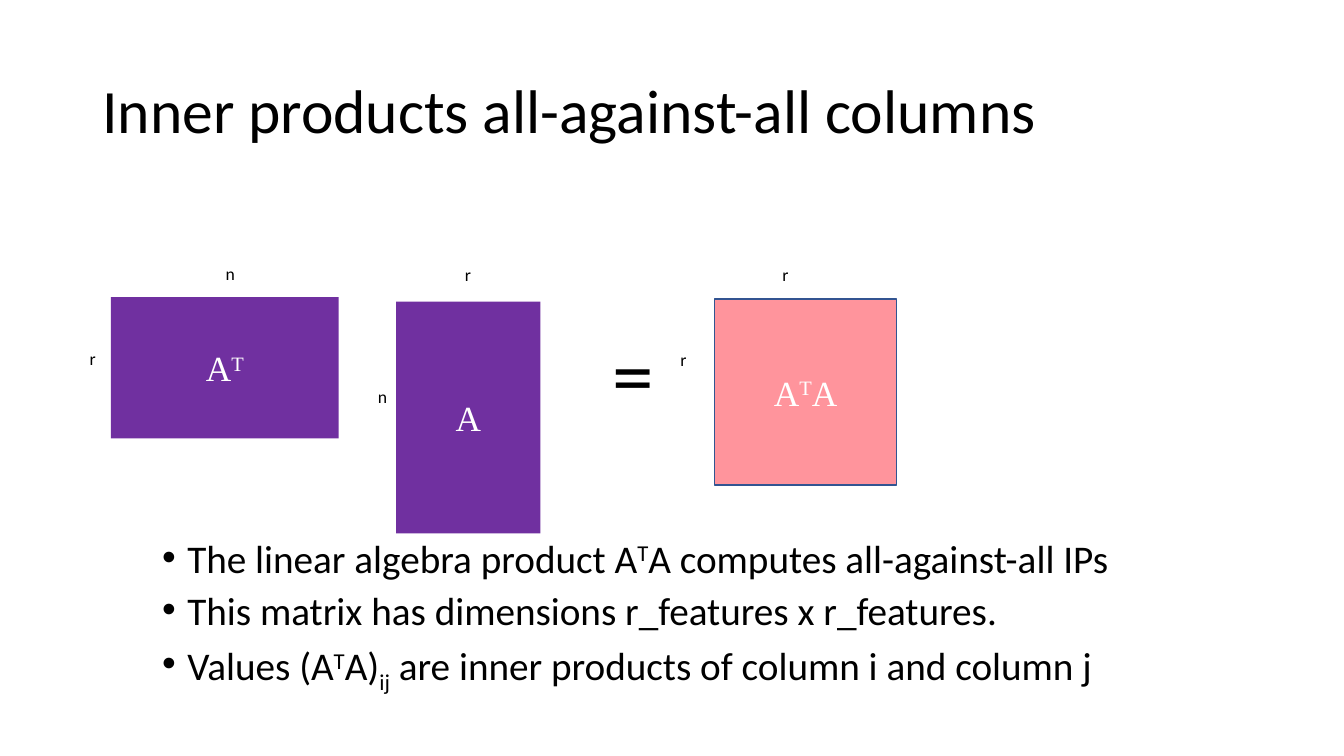
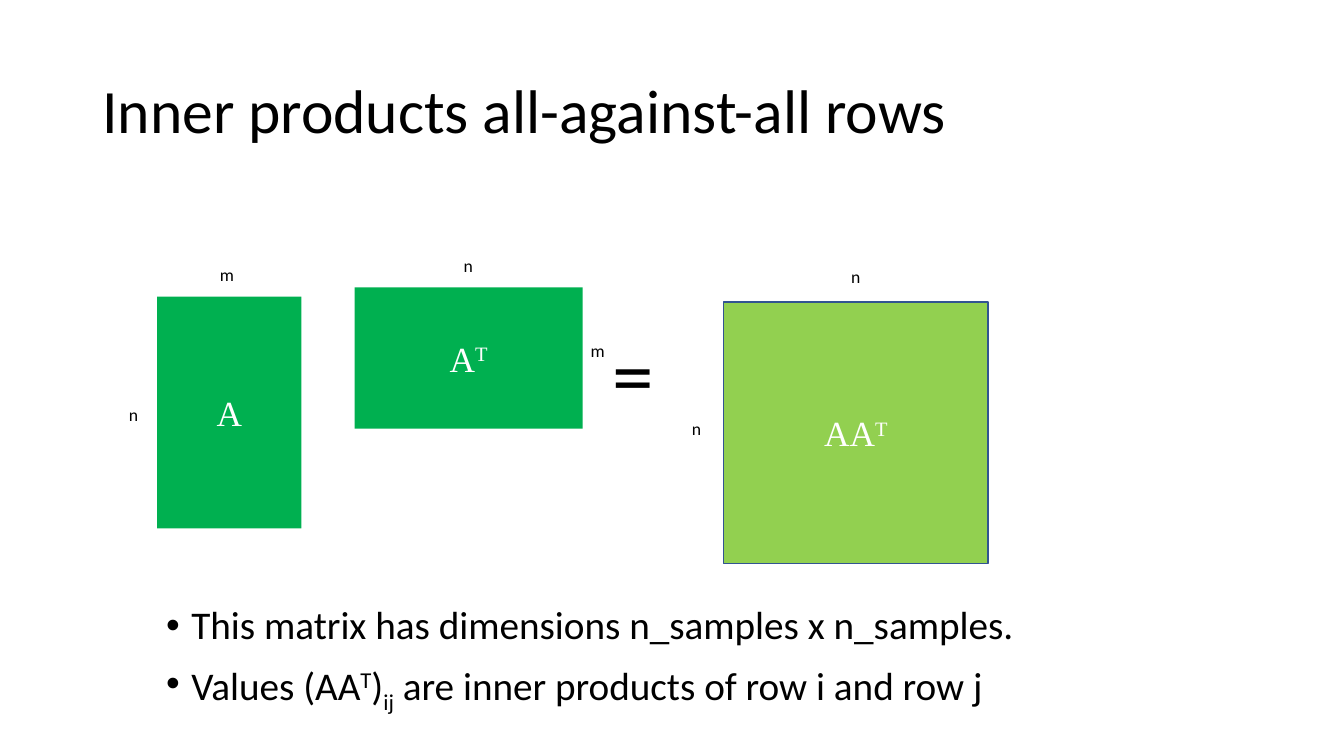
from lxml.etree import SubElement
from pptx import Presentation
from pptx.dml.color import RGBColor
from pptx.enum.shapes import MSO_SHAPE as Preset
from pptx.enum.text import MSO_ANCHOR as Anchor, PP_ALIGN as Align
from pptx.oxml.ns import qn
from pptx.util import Pt

BLACK, WHITE, OUTLINE = "000000", "FFFFFF", "325491"
PURPLE, PINK = "7030A0", "FF949C"
GREEN, LIME = "00B050", "92D050"

BODY_FONT, MATH_FONT = "Calibri", "Times New Roman"
TALL, WIDE = (103, 165.6), (162.8, 101)

# A run is a plain string, or a pair of text and baseline shift.
TRANSPOSE = ("T", 30000)
INDEX = ("ij", -25000)


def color(hex_string):
    return RGBColor.from_string(hex_string)


class Deck:
    """Holds the shared style and the slide being drawn."""

    def __init__(self):
        self.presentation = Presentation()
        self.presentation.slide_width = Pt(960)
        self.presentation.slide_height = Pt(540)
        self.slide = None

    def new_slide(self, title):
        blank = self.presentation.slide_layouts[6]
        self.slide = self.presentation.slides.add_slide(blank)
        frame = self.text_frame(66, 28.8, 828, 104.4, Anchor.MIDDLE)
        paragraph = frame.paragraphs[0]
        paragraph.line_spacing = 0.9
        self.add_text(paragraph, [title], 44)

    def text_frame(self, left, top, width, height, anchor=Anchor.TOP):
        box = self.slide.shapes.add_textbox(Pt(left), Pt(top), Pt(width), Pt(height))
        frame = box.text_frame
        frame.word_wrap = True
        frame.vertical_anchor = anchor
        return frame

    def add_text(self, paragraph, runs, size, font=BODY_FONT, ink=BLACK):
        paragraph.font.name = font
        paragraph.font.size = Pt(size)
        paragraph.font.color.rgb = color(ink)
        for item in runs:
            text, baseline = (item, 0) if isinstance(item, str) else item
            run = paragraph.add_run()
            run.text = text
            if baseline:
                run._r.get_or_add_rPr().set("baseline", str(baseline))

    def matrix(self, left, top, size, runs, fill, outline=None):
        width, height = size
        shape = self.slide.shapes.add_shape(
            Preset.RECTANGLE, Pt(left), Pt(top), Pt(width), Pt(height))
        shape.shadow.inherit = False
        shape.fill.solid()
        shape.fill.fore_color.rgb = color(fill)
        if outline:
            shape.line.color.rgb = color(outline)
            shape.line.width = Pt(1)
        else:
            shape.line.fill.background()
        shape.text_frame.vertical_anchor = Anchor.MIDDLE
        paragraph = shape.text_frame.paragraphs[0]
        paragraph.alignment = Align.CENTER
        self.add_text(paragraph, runs, 25.2, MATH_FONT, WHITE)

    def dimension(self, text, center_x, center_y):
        """Label a matrix side, centred on the given point."""
        width, height = 32, 22
        frame = self.text_frame(center_x - width / 2, center_y - height / 2,
                                width, height, Anchor.MIDDLE)
        paragraph = frame.paragraphs[0]
        paragraph.alignment = Align.CENTER
        self.add_text(paragraph, [text], 12.6)

    def equals_sign(self):
        frame = self.text_frame(430.6, 226.8, 46, 79.2)
        self.add_text(frame.paragraphs[0], ["="], 59.4)

    def bullets(self, left, top, width, height, items, line_spacing):
        frame = self.text_frame(left, top, width, height)
        for number, runs in enumerate(items):
            paragraph = frame.add_paragraph() if number else frame.paragraphs[0]
            paragraph.line_spacing = line_spacing
            if number:
                paragraph.space_before = Pt(10)
            properties = paragraph._p.get_or_add_pPr()
            properties.set("marL", str(Pt(18)))
            properties.set("indent", str(-Pt(18)))
            SubElement(properties, qn("a:buFont"), typeface="Arial")
            SubElement(properties, qn("a:buChar"), char="•")
            self.add_text(paragraph, runs, 28)


def column_products(deck):
    deck.new_slide("Inner products all-against-all columns")
    deck.bullets(108.7, 384.5, 707.8, 116.6, [
        ["The linear algebra product A", TRANSPOSE, "A computes all-against-all IPs"],
        ["This matrix has dimensions r_features x r_features."],
        ["Values (A", TRANSPOSE, "A)", INDEX,
         " are inner products of column i and column j"],
    ], line_spacing=0.8)
    deck.matrix(79.2, 212.2, WIDE, ["A", TRANSPOSE], PURPLE)
    deck.matrix(283, 215.4, TALL, ["A"], PURPLE)
    deck.matrix(510.3, 213.6, (130.3, 132.8), ["A", TRANSPOSE, "A"], PINK, OUTLINE)
    for label in [("n", 164.5, 195.5), ("r", 66.2, 256.2),
                  ("r", 334.2, 196), ("n", 273.2, 283.5),
                  ("r", 561, 196), ("r", 488.2, 256.5)]:
        deck.dimension(*label)
    deck.equals_sign()


def row_products(deck):
    deck.new_slide("Inner products all-against-all rows")
    deck.bullets(111.6, 429.1, 657.4, 108, [
        ["This matrix has dimensions n_samples x n_samples."],
        ["Values (AA", TRANSPOSE, ")", INDEX, " are inner products of row i and row j"],
    ], line_spacing=0.9)
    deck.matrix(112.3, 211.9, TALL, ["A"], GREEN)
    deck.matrix(253.4, 205.2, WIDE, ["A", TRANSPOSE], GREEN)
    deck.matrix(516.8, 215.8, (189, 186.8), ["AA", TRANSPOSE], LIME, OUTLINE)
    for label in [("m", 162, 196.2), ("n", 95.4, 296.4),
                  ("n", 334.4, 189.8), ("m", 427, 250.2),
                  ("n", 611.3, 197.8), ("n", 497.5, 305.8)]:
        deck.dimension(*label)
    deck.equals_sign()


def main():
    deck = Deck()
    column_products(deck)
    row_products(deck)
    deck.presentation.save("out.pptx")


if __name__ == "__main__":
    main()
